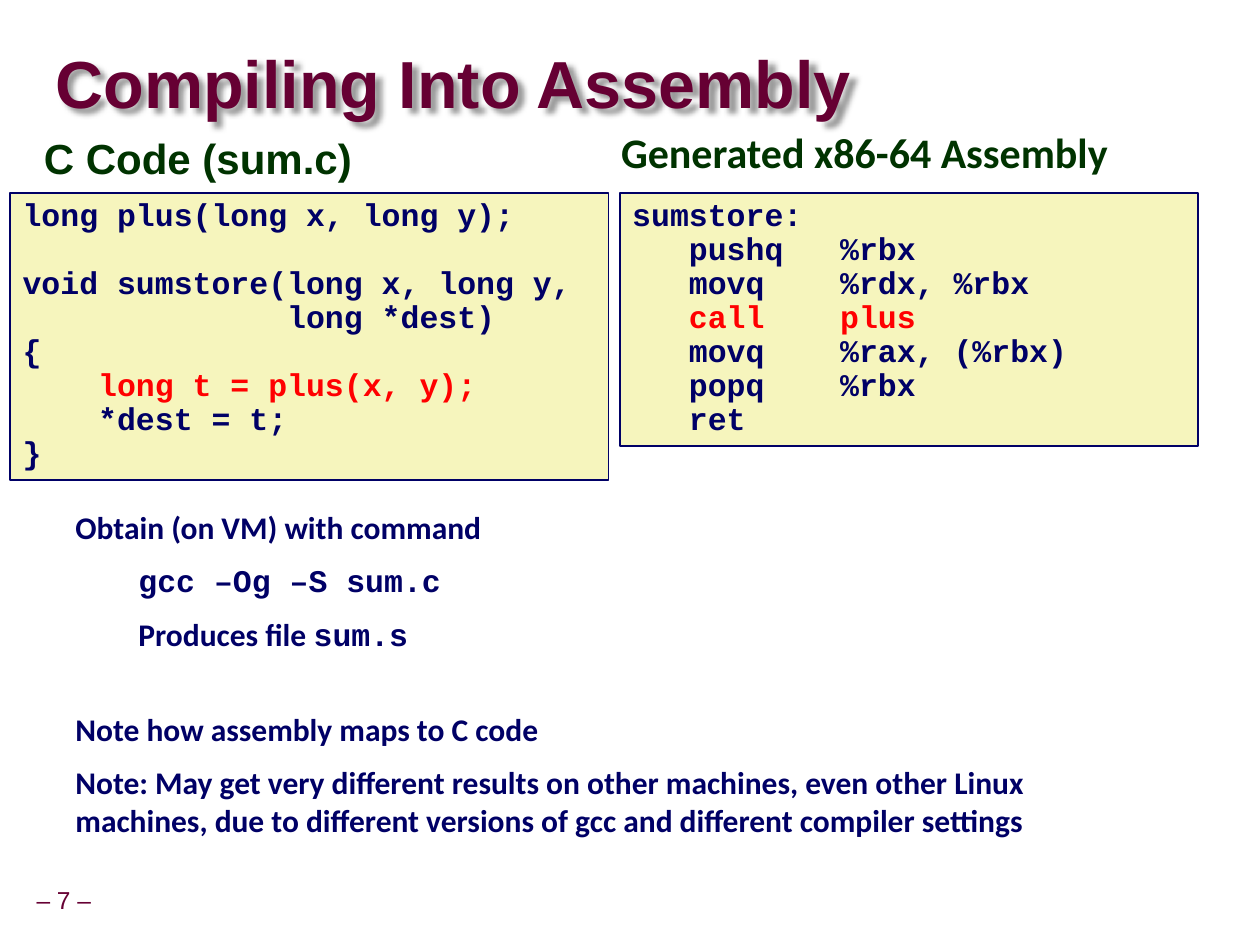
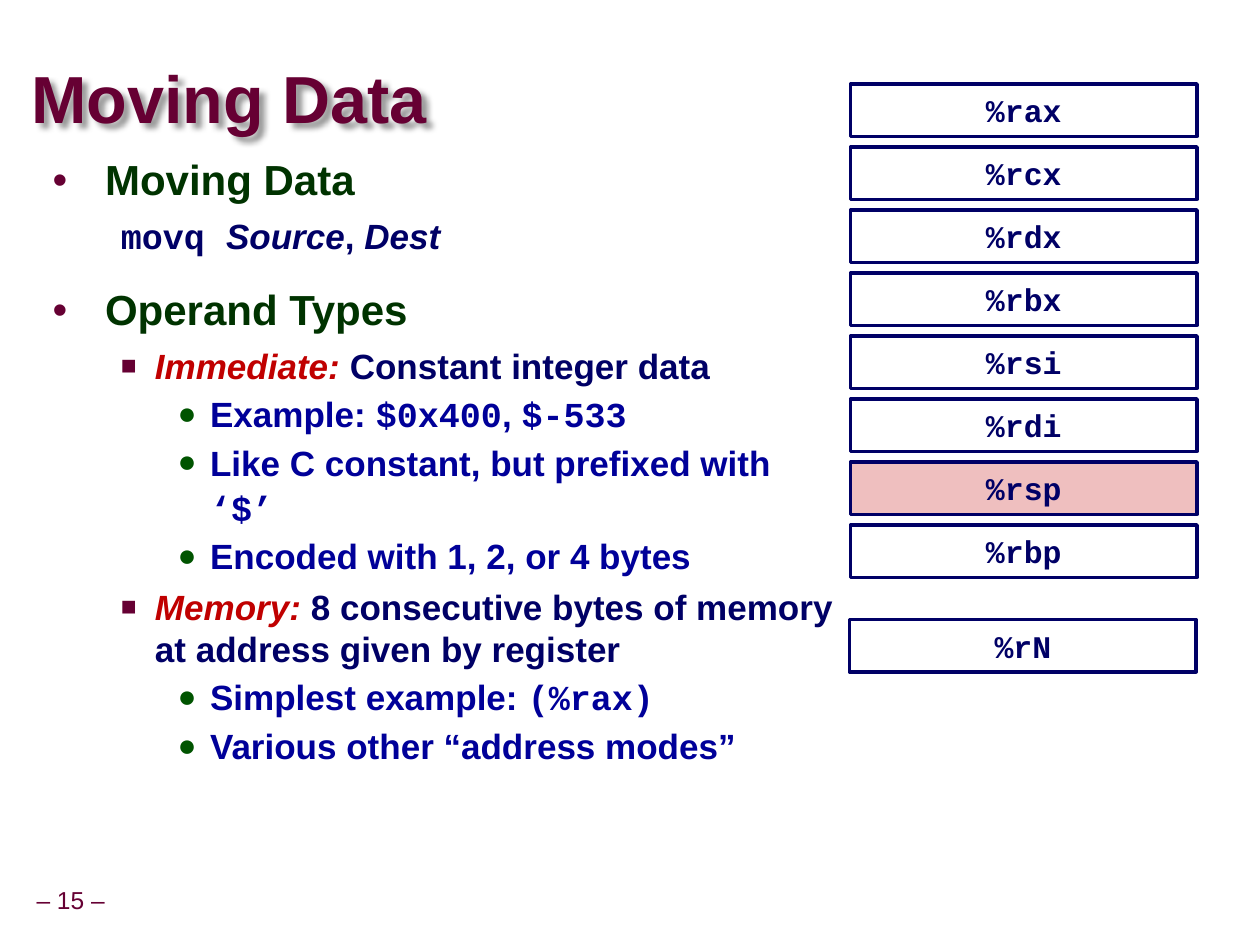
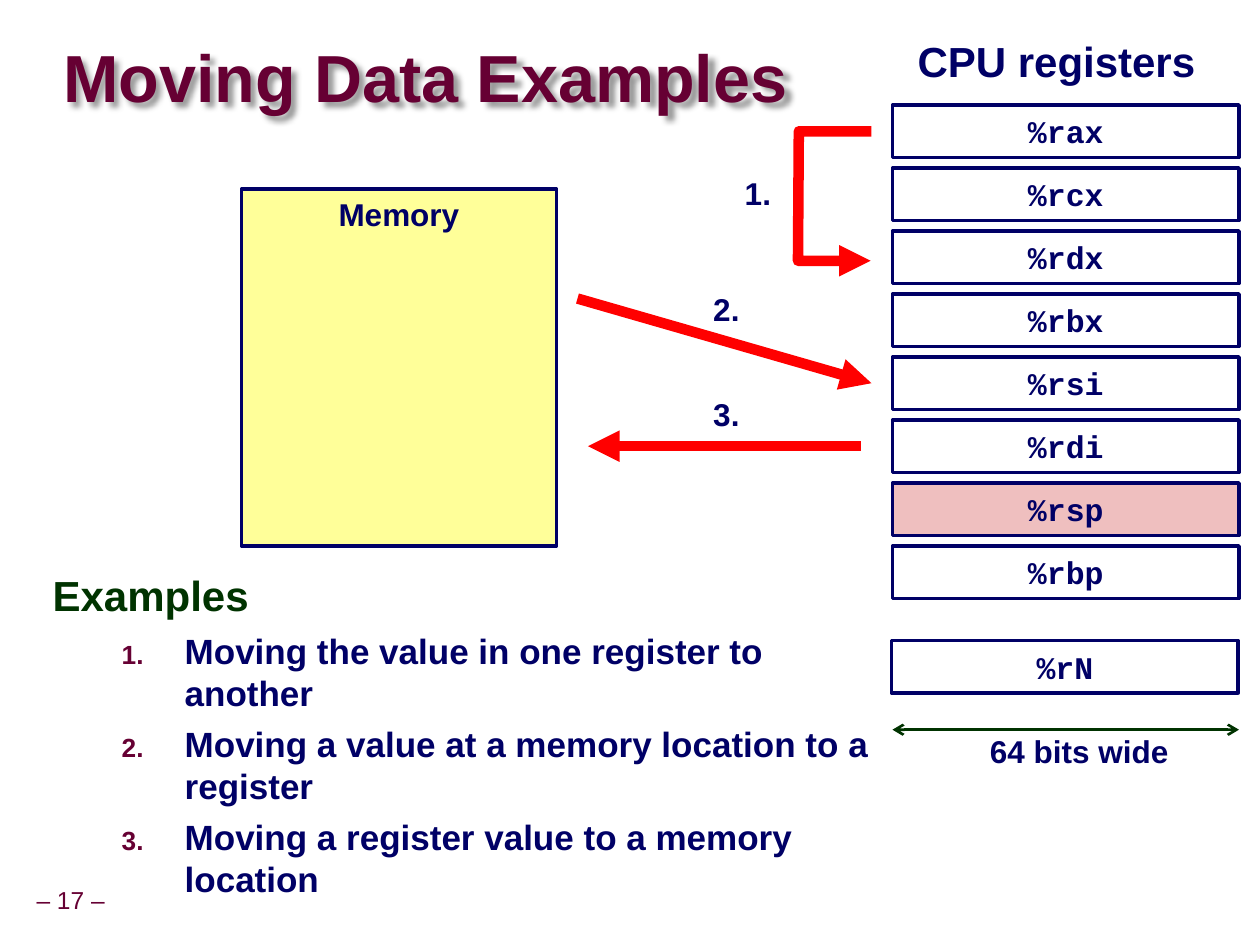
"""Build three lecture slides on compiling C and moving data in assembly."""
from dataclasses import dataclass, replace
from typing import Any, NamedTuple, Optional

from lxml import etree
from pptx import Presentation
from pptx.dml.color import RGBColor
from pptx.enum import shapes, text
from pptx.oxml import ns
from pptx.util import Pt

COLORS = {
    "maroon": "660033", "forest": "003300", "navy": "000066", "blue": "000099",
    "bullet_green": "005400", "crimson": "C00000", "red": "FF0000", "white": "FFFFFF",
    "code_fill": "F6F5BD", "memory_fill": "FFFF99", "stack_fill": "EFBFBF", "black": "000000",
}
SANS, HUMANIST, MONO = "Arial", "Calibri", "Courier New"
LEFT, CENTER = text.PP_ALIGN.LEFT, text.PP_ALIGN.CENTER
TOP, MIDDLE = text.MSO_ANCHOR.TOP, text.MSO_ANCHOR.MIDDLE
REGISTERS = ("%rax", "%rcx", "%rdx", "%rbx", "%rsi", "%rdi", "%rsp", "%rbp")


class Box(NamedTuple):
    left: float
    top: float
    width: float
    height: float


class Run(NamedTuple):
    words: str
    font: Optional[str] = None
    color: Optional[str] = None
    italic: bool = False


@dataclass(frozen=True)
class Style:
    size: float
    color: str
    font: str = SANS
    bold: bool = True
    align: Any = LEFT
    spacing: float = 1.0
    before: float = 0
    indent: float = 0
    hang: float = 0
    level: int = 0
    bullet: str = ""
    bullet_color: str = "maroon"
    bullet_percent: int = 100


class Line(NamedTuple):
    style: Style
    runs: tuple[Run, ...]


TITLE = Style(38, "maroon", spacing=0.87)
FOOTER = Style(14, "maroon", bold=False, spacing=0.9)
HEADING = Style(24, "forest", spacing=0.95)
TOPIC = replace(HEADING, indent=30, hang=30, bullet="•")
SYNTAX = Style(20, "navy", before=5, indent=58.5, hang=19.5, level=1)
POINT = replace(SYNTAX, bullet="■", bullet_percent=75)
DETAIL = Style(20, "blue", spacing=1.07, before=2, indent=90, hang=18.5, level=2,
               bullet="●", bullet_color="bullet_green", bullet_percent=90)
STEP = replace(POINT, indent=75.5, hang=36, bullet="auto")
CODE = Style(18, "navy", MONO, spacing=0.9)
NOTE = Style(18, "navy", HUMANIST, before=9)
COMMAND = replace(NOTE, indent=36, level=1)
REGISTER = Style(18, "navy", MONO, align=CENTER)
LABEL = Style(18, "navy", align=CENTER, spacing=0.9)


def rgb(name: str) -> RGBColor:
    """Return the named colour."""
    return RGBColor.from_string(COLORS[name])


def add_child(parent: Any, tag: str, **attributes: Any) -> Any:
    """Append a drawing element with attributes."""
    return etree.SubElement(parent, ns.qn(tag), {k: str(v) for k, v in attributes.items()})


def write(paragraph: Any, words: str, *, font: str, size: float, color: str,
          bold: bool, italic: bool = False) -> None:
    """Append one formatted run to a paragraph."""
    run = paragraph.add_run()
    run.text = words
    run.font.name, run.font.size = font, Pt(size)
    run.font.bold, run.font.italic = bold, italic
    run.font.color.rgb = rgb(color)


def set_bullet(paragraph: Any, style: Style) -> None:
    """Give a paragraph its indents and bullet."""
    properties = paragraph._p.get_or_add_pPr()
    properties.set("marL", str(Pt(style.indent)))
    properties.set("indent", str(Pt(-style.hang)))
    if not style.bullet:
        add_child(properties, "a:buNone")
        return
    add_child(add_child(properties, "a:buClr"), "a:srgbClr", val=COLORS[style.bullet_color])
    add_child(properties, "a:buSzPct", val=style.bullet_percent * 1000)
    if style.bullet == "auto":
        add_child(properties, "a:buAutoNum", type="arabicPeriod")
    else:
        add_child(properties, "a:buFont", typeface=SANS)
        add_child(properties, "a:buChar", char=style.bullet)


def fill_text(shape: Any, lines: list[Line], anchor: Any = TOP, wrap: bool = True,
              margins: Optional[float] = None) -> None:
    """Write styled lines into a shape."""
    frame = shape.text_frame
    frame.word_wrap, frame.vertical_anchor = wrap, anchor
    if margins is not None:
        frame.margin_left = frame.margin_right = Pt(margins)
        frame.margin_top = frame.margin_bottom = Pt(margins)
    for index, (style, runs) in enumerate(lines):
        paragraph = frame.add_paragraph() if index else frame.paragraphs[0]
        set_bullet(paragraph, style)
        paragraph.level, paragraph.alignment = style.level, style.align
        paragraph.line_spacing = style.spacing
        paragraph.space_before = Pt(style.before if index else 0)
        for run in runs:
            write(paragraph, run.words, font=run.font or style.font, size=style.size,
                  color=run.color or style.color, bold=style.bold, italic=run.italic)


def line(style: Style, *runs: str | Run) -> Line:
    """Make a line from plain words or runs."""
    return Line(style, tuple(Run(r) if isinstance(r, str) else r for r in runs))


def add_text(slide: Any, box: Box, *lines: Line, **layout: Any) -> Any:
    """Add a text box holding styled lines."""
    shape = slide.shapes.add_textbox(*map(Pt, box))
    fill_text(shape, list(lines), **layout)
    return shape


def add_panel(parts: Any, box: Box, fill: str, border: float, *lines: Line,
              **layout: Any) -> None:
    """Add a bordered rectangle holding styled lines."""
    panel = parts.add_shape(shapes.MSO_SHAPE.RECTANGLE, *map(Pt, box))
    panel.shadow.inherit = False
    panel.fill.solid()
    panel.fill.fore_color.rgb = rgb(fill)
    panel.line.color.rgb, panel.line.width = rgb("navy"), Pt(border)
    fill_text(panel, list(lines), **layout)


def add_code(slide: Any, box: Box, *lines: Line) -> None:
    """Add a panel of source code."""
    add_panel(slide.shapes, box, "code_fill", 1, *lines)


def style_line(shape: Any, color: str, width: float, **ends: str) -> None:
    """Set colour, width and arrowheads of a line."""
    shape.line.color.rgb, shape.line.width = rgb(color), Pt(width)
    outline = shape.line._get_or_add_ln()
    for tag in ("headEnd", "tailEnd"):
        if tag in ends:
            add_child(outline, f"a:{tag}", type=ends[tag])


def add_arrow(slide: Any, start: tuple[float, float], end: tuple[float, float],
              color: str, width: float, **ends: str) -> None:
    """Add a straight arrow."""
    arrow = slide.shapes.add_connector(shapes.MSO_CONNECTOR.STRAIGHT, *map(Pt, start + end))
    style_line(arrow, color, width, **ends)
    add_child(arrow._element.spPr, "a:effectLst")


def add_registers(slide: Any, left: float, top: float) -> None:
    """Add the column of registers with the last one set apart."""
    column = slide.shapes.add_group_shape().shapes
    places = [(name, left, top + 36 * row) for row, name in enumerate(REGISTERS)]
    for name, x, y in places + [("%rN", left - 0.5, top + 306)]:
        fill = "stack_fill" if name == "%rsp" else "white"
        add_panel(column, Box(x, y, 198, 30), fill, 2, line(REGISTER, name),
                  anchor=MIDDLE, wrap=False)


def new_slide(deck: Any, title: str, box: Box, number: int) -> Any:
    """Add a blank slide with its footer and shadowed title."""
    slide = deck.slides.add_slide(deck.slide_layouts[6])
    add_text(slide, Box(17.3, 504, 48, 22.3), line(FOOTER, f"– {number} –"),
             anchor=MIDDLE, margins=3.6)
    heading = add_text(slide, box, line(TITLE, title), anchor=MIDDLE, margins=0)
    effects = add_child(heading._element.spPr, "a:effectLst")
    shadow = add_child(effects, "a:outerShdw", blurRad=Pt(3), dist=Pt(4), dir=2700000,
                       algn="tl", rotWithShape=0)
    tint = add_child(shadow, "a:srgbClr", val=COLORS["black"])
    add_child(tint, "a:alpha", val=40000)
    return slide


def build_compiling(deck: Any) -> None:
    """Build the slide on compiling C into assembly."""
    slide = new_slide(deck, "Compiling Into Assembly", Box(31.7, 19.5, 686, 61), 7)
    add_text(slide, Box(18, 74.2, 210, 29), line(HEADING, "C Code (sum.c)"))
    add_code(
        slide, Box(5.8, 110.2, 342, 164.2),
        line(CODE, "long plus(long x, long y);"),
        line(replace(CODE, before=19.4), "void sumstore(long x, long y,"),
        line(CODE, "              long *dest)"),
        line(CODE, "{"),
        line(CODE, Run("    long t = plus(x, y);", color="red")),
        line(CODE, "    *dest = t;"),
        line(CODE, "}"),
    )
    add_text(slide, Box(347.8, 72, 324, 32.4),
             line(replace(HEADING, font=HUMANIST, spacing=0.9), "Generated x86-64 Assembly"))
    add_code(
        slide, Box(354.2, 110.2, 330.5, 144.7),
        line(CODE, "sumstore:"),
        line(CODE, "   pushq   %rbx"),
        line(CODE, "   movq    %rdx, %rbx"),
        line(CODE, Run("   call    plus", color="red")),
        line(CODE, "   movq    %rax, (%rbx)"),
        line(CODE, "   popq    %rbx"),
        line(CODE, "   ret"),
    )
    add_text(
        slide, Box(36, 286.5, 588, 94.3),
        line(NOTE, "Obtain (on VM) with command"),
        line(COMMAND, Run("gcc –Og –S sum.c", MONO)),
        line(COMMAND, "Produces file ", Run("sum.s", MONO)),
    )
    add_text(
        slide, Box(36, 402, 588, 83.5),
        line(NOTE, "Note how assembly maps to C code"),
        line(NOTE, "Note: May get very different results on other machines, even other Linux "
                   "machines, due to different versions of gcc and different compiler settings"),
    )


def build_operands(deck: Any) -> None:
    """Build the slide on operand types."""
    slide = new_slide(deck, "Moving Data", Box(18, 36, 436, 45), 15)
    add_text(
        slide, Box(23, 86.4, 463, 411),
        line(TOPIC, "Moving Data"),
        line(SYNTAX, Run("movq ", MONO), Run("Source", italic=True), ", ",
             Run("Dest", italic=True)),
        line(replace(TOPIC, before=18), "Operand Types"),
        line(POINT, Run("Immediate:", color="crimson", italic=True), " Constant integer data"),
        line(DETAIL, "Example: ", Run("$0x400", MONO), ", ", Run("$-533", MONO)),
        line(DETAIL, "Like C constant, but prefixed with ", Run("‘$’", MONO)),
        line(DETAIL, "Encoded with 1, 2, or 4 bytes"),
        line(POINT, Run("Memory: ", color="crimson", italic=True),
             "8 consecutive bytes of memory at address given by register"),
        line(DETAIL, "Simplest example: ", Run("(%rax)", MONO)),
        line(DETAIL, "Various other “address modes”"),
    )
    add_registers(slide, 486, 48)


def build_examples(deck: Any) -> None:
    """Build the slide on moves between memory and registers."""
    slide = new_slide(deck, "Moving Data Examples", Box(36, 24, 436, 45), 17)
    add_text(
        slide, Box(23, 324, 487.5, 178),
        line(HEADING, "Examples"),
        line(STEP, "Moving the value in one register to another"),
        line(STEP, "Moving a value at a memory location to a register"),
        line(STEP, "Moving a register value to a memory location"),
    )
    add_arrow(slide, (510, 417), (708, 417), "forest", 1.5, headEnd="arrow", tailEnd="arrow")
    add_panel(slide.shapes, Box(138, 108, 180, 204), "memory_fill", 2,
              line(replace(LABEL, spacing=1), "Memory"), wrap=False)
    add_arrow(slide, (330, 170.6), (498, 219), "red", 6, tailEnd="triangle")
    add_arrow(slide, (336, 255), (492, 255), "red", 6, headEnd="triangle")

    builder = slide.shapes.build_freeform(Pt(498), Pt(75))
    corners = [(456.5, 75), (456, 149), (497.5, 149)]
    builder.add_line_segments([(Pt(x), Pt(y)) for x, y in corners], close=False)
    register_copy = builder.convert_to_shape()
    register_copy.shadow.inherit = False
    register_copy.fill.background()
    style_line(register_copy, "red", 6, tailEnd="triangle")

    labels = [
        ("64 bits wide", Box(558, 417, 117.4, 27.4), LABEL),
        ("1.", Box(418.3, 98.6, 29.5, 27.4), LABEL),
        ("2.", Box(400.3, 164.9, 29.5, 27.4), LABEL),
        ("3.", Box(400.3, 224.6, 29.5, 27.4), LABEL),
        ("CPU registers", Box(516.2, 20.2, 175, 33.8), replace(LABEL, size=24)),
    ]
    for words, box, style in labels:
        add_text(slide, box, line(style, words), wrap=False)
    add_registers(slide, 510, 60)


def main() -> None:
    """Build and save the deck."""
    deck = Presentation()
    deck.slide_width, deck.slide_height = Pt(720), Pt(540)
    for build in (build_compiling, build_operands, build_examples):
        build(deck)
    deck.save("out.pptx")


if __name__ == "__main__":
    main()
